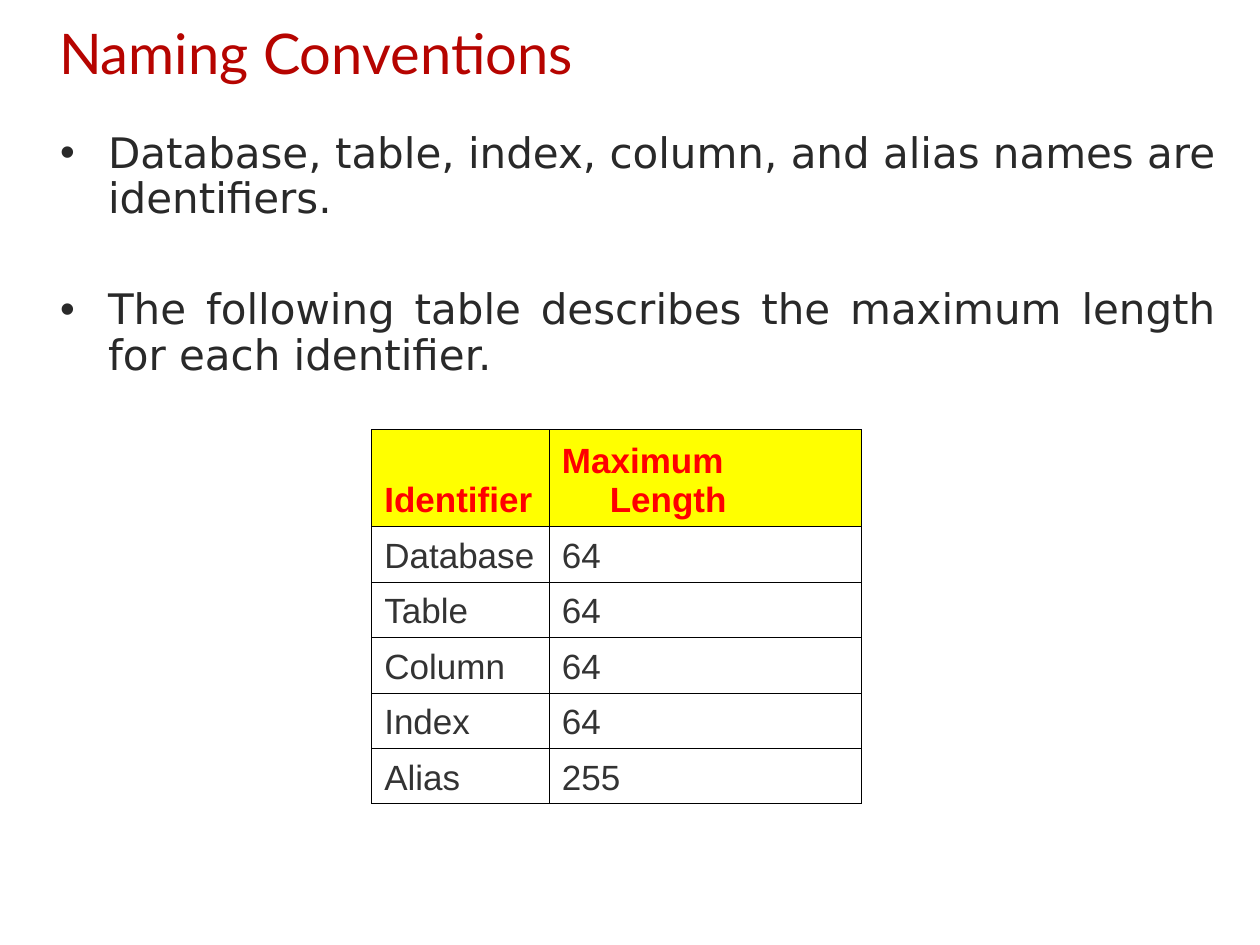
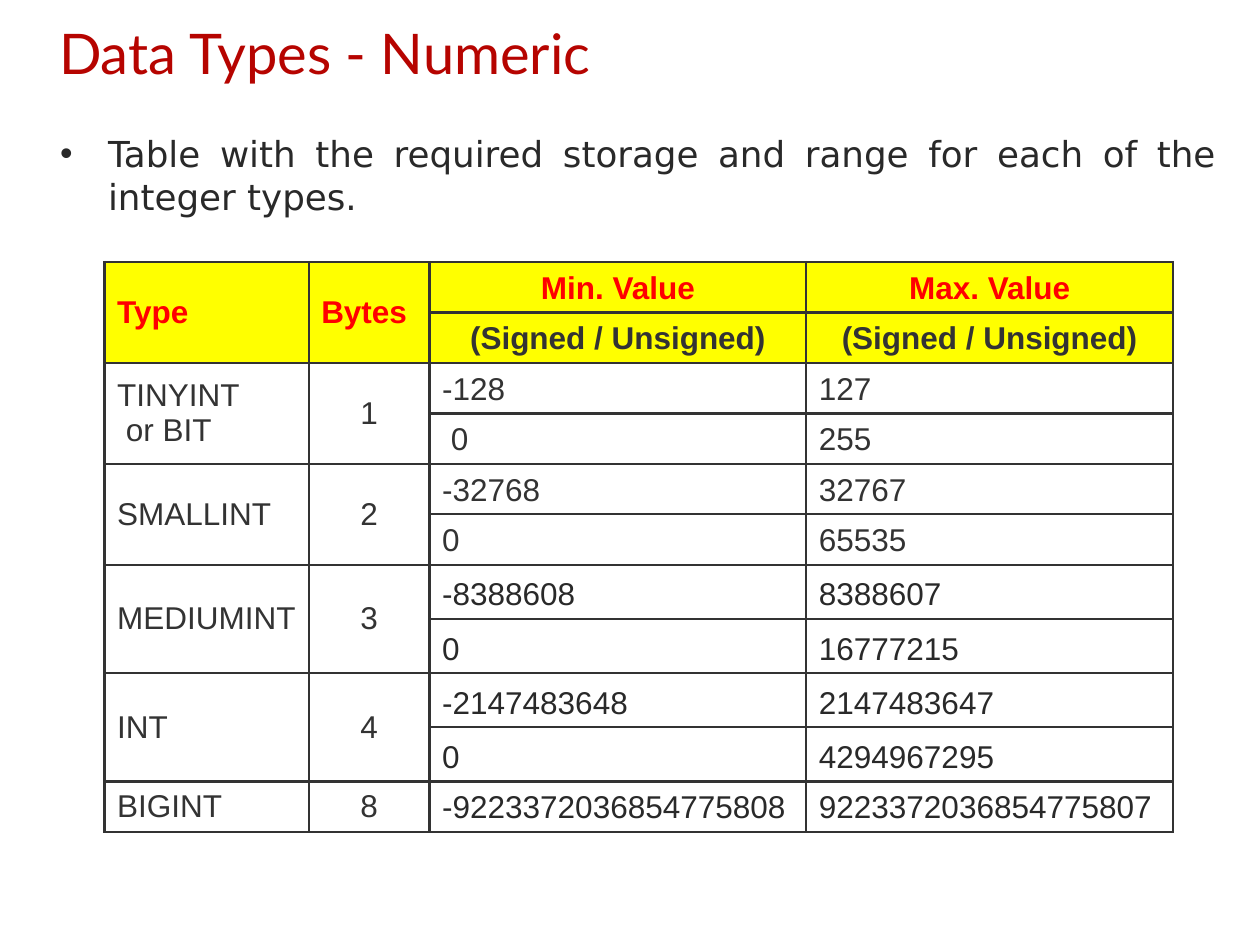
from lxml import etree
from pptx import Presentation
from pptx.dml.color import RGBColor
from pptx.enum.text import MSO_ANCHOR as ANCHOR, PP_ALIGN as ALIGN
from pptx.oxml.ns import qn
from pptx.util import Inches, Pt

RED, INK, GREY = "B60400", "292929", "333333"
HEAD_TEXT, HEAD_FILL, BLACK = "FF0000", "FFFF00", "000000"
HANG = Inches(0.38)

TITLE = {"name": "Lato", "size": Pt(32), "bold": False}
BODY = {"name": "DejaVu Sans", "bold": False}
CELL = {"name": "Arial", "bold": False}


def rgb(value):
    return RGBColor.from_string(value)


def sub(parent, tag, **attrs):
    return etree.SubElement(parent, qn(tag), attrs)


def write(p, text, color, fmt):
    """Fill a paragraph; a vertical tab in the text is a line break."""
    p.text = text
    for r in p.runs:
        for key, value in fmt.items():
            setattr(r.font, key, value)
        r.font.color.rgb = rgb(color)


def hang(p):
    pPr = p._p.get_or_add_pPr()
    pPr.set("marL", str(HANG))
    pPr.set("indent", str(-HANG))
    return pPr


def add_box(s, left, top, width, height, anchor):
    sp = s.shapes.add_textbox(*map(Inches, (left, top, width, height)))
    tf = sp.text_frame
    tf.word_wrap = True
    tf.vertical_anchor = anchor
    return tf


def add_slide(prs, title):
    s = prs.slides.add_slide(prs.slide_layouts[6])
    tf = add_box(s, 0.37, 0, 9.25, 0.83, ANCHOR.MIDDLE)
    write(tf.paragraphs[0], title, RED, TITLE)
    return s


def add_bullets(s, items, height, size, before, gap=0, line=1.0):
    """Justified bullets; gap is the space before every one but the first."""
    tf = add_box(s, 0.38, 1, 9.37, height, ANCHOR.TOP)
    for i, text in enumerate(items):
        p = tf.add_paragraph() if i else tf.paragraphs[0]
        write(p, text, INK, {**BODY, "size": Pt(size)})
        p.alignment = ALIGN.JUSTIFY
        p.line_spacing = line
        p.space_before = Pt(gap if i else before)
        pPr = hang(p)
        sub(sub(pPr, "a:buClr"), "a:srgbClr", val=INK)
        sub(pPr, "a:buFont", typeface="Arial")
        sub(pPr, "a:buChar", char="•")


def add_borders(cell, color, width):
    tcPr = cell._tc.get_or_add_tcPr()
    for i, side in enumerate("LRTB"):
        ln = etree.Element(qn(f"a:ln{side}"), w=str(Pt(width)))
        sub(sub(ln, "a:solidFill"), "a:srgbClr", val=color)
        tcPr.insert(i, ln)


def add_grid(s, left, top, cols, rows, head_rows, border):
    """Empty table with borders and a filled head."""
    frame = s.shapes.add_table(
        len(rows), len(cols),
        *map(Inches, (left, top, sum(cols), sum(rows))))
    table = frame.table
    table.first_row = table.horz_banding = False
    for col, width in zip(table.columns, cols):
        col.width = Inches(width)
    for i, (row, height) in enumerate(zip(table.rows, rows)):
        row.height = Inches(height)
        for cell in row.cells:
            if i < head_rows:
                cell.fill.solid()
                cell.fill.fore_color.rgb = rgb(HEAD_FILL)
            else:
                cell.fill.background()
            add_borders(cell, *border)
    return table


def fill_cell(cell, text, size, color=GREY, bold=False,
              anchor=ANCHOR.BOTTOM, align=ALIGN.LEFT):
    cell.vertical_anchor = anchor
    tf = cell.text_frame
    for i, line in enumerate(text.split("\n")):
        p = tf.add_paragraph() if i else tf.paragraphs[0]
        write(p, line, color, {**CELL, "size": Pt(size), "bold": bold})
        p.alignment = align
        hang(p)


def naming_slide(prs):
    s = add_slide(prs, "Naming Conventions")
    add_bullets(s, [
        "Database, table, index, column, and alias names are identifiers.",
        "The following table describes the maximum length for each "
        "identifier.",
    ], 2.25, size=24, before=6, gap=37.5, line=0.9)

    limits = [("Identifier", "Maximum\vLength"), ("Database", "64"),
              ("Table", "64"), ("Column", "64"), ("Index", "64"),
              ("Alias", "255")]
    table = add_grid(s, 2.95, 3.41, [1.41, 2.48], [0.77] + [0.44] * 5,
                     1, (BLACK, 0.45))
    for i, row in enumerate(limits):
        for j, text in enumerate(row):
            fill_cell(table.cell(i, j), text, 20,
                      GREY if i else HEAD_TEXT, bold=i == 0)


def numeric_slide(prs):
    s = add_slide(prs, "Data Types - Numeric")
    add_bullets(s, [
        "Table with the required storage and range for each of the "
        "integer types.",
    ], 0.83, size=20.4, before=5)

    # Each type: name, bytes, colour of its ranges, row height, ranges
    types = [
        ("TINYINT\n or BIT", "1", GREY, 0.4, [("-128", "127"), (" 0", "255")]),
        ("SMALLINT", "2", GREY, 0.4, [("-32768", "32767"), ("0", "65535")]),
        ("MEDIUMINT", "3", INK, 0.43,
         [("-8388608", "8388607"), ("0", "16777215")]),
        ("INT", "4", INK, 0.43,
         [("-2147483648", "2147483647"), ("0", "4294967295")]),
        ("BIGINT", "8", INK, 0.4,
         [("-9223372036854775808", "9223372036854775807")]),
    ]
    heights = [0.4] * 2 + [t[3] for t in types for _ in t[4]]
    table = add_grid(s, 0.83, 2.08, [1.62, 0.96, 2.99, 2.91], heights,
                     2, (GREY, 1.47))

    # Head
    for j, text in enumerate(("Type", "Bytes")):
        table.cell(0, j).merge(table.cell(1, j))
        fill_cell(table.cell(0, j), text, 18, HEAD_TEXT, True, ANCHOR.MIDDLE)
    for j, text in enumerate(("Min. Value", "Max. Value"), 2):
        fill_cell(table.cell(0, j), text, 18, HEAD_TEXT, True,
                  align=ALIGN.CENTER)
        fill_cell(table.cell(1, j), "(Signed / Unsigned)", 18, bold=True,
                  align=ALIGN.CENTER)

    # One block of rows per type
    top = 2
    for name, size, color, _, ranges in types:
        for j, text in enumerate((name, size)):
            if len(ranges) > 1:
                table.cell(top, j).merge(table.cell(top + 1, j))
            fill_cell(table.cell(top, j), text, 18, anchor=ANCHOR.MIDDLE,
                      align=ALIGN.CENTER if j else ALIGN.LEFT)
        for i, pair in enumerate(ranges, top):
            for j, text in enumerate(pair, 2):
                fill_cell(table.cell(i, j), text, 18, color)
        top += len(ranges)


def main():
    prs = Presentation()
    prs.slide_width, prs.slide_height = Inches(10), Inches(7.5)
    naming_slide(prs)
    numeric_slide(prs)
    prs.save("out.pptx")


main()
